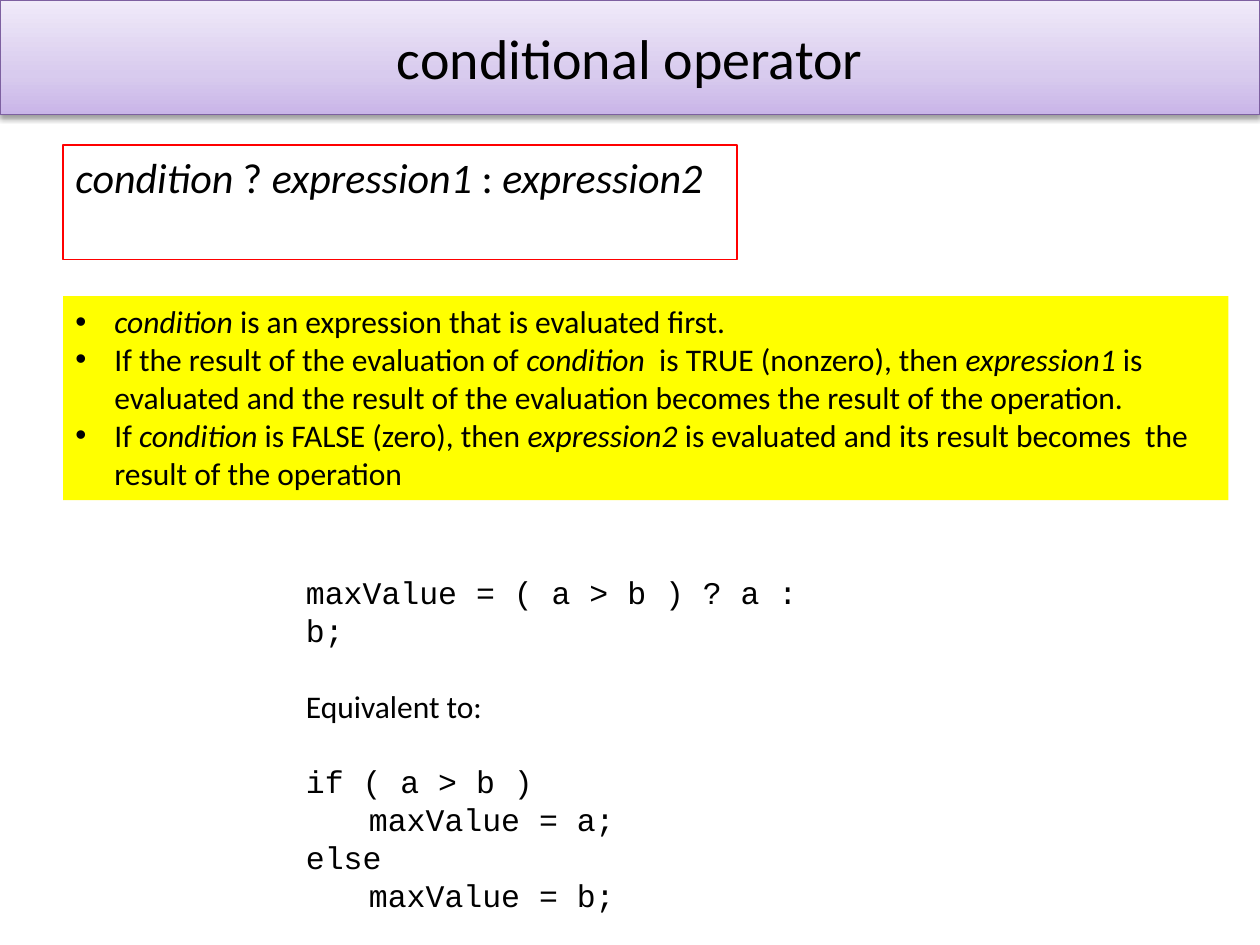
from lxml.etree import SubElement
from pptx import Presentation
from pptx.dml.color import RGBColor
from pptx.enum.shapes import MSO_SHAPE
from pptx.enum.text import MSO_ANCHOR, PP_ALIGN
from pptx.oxml.ns import qn
from pptx.util import Inches, Pt

WIDTH, HEIGHT = 10, 7.5
MARGIN = 0.05 * WIDTH
BAND = 0.91  # height of the title bar and of the syntax box
LINE = 21.6  # line pitch of the code, in points
COLORS = {"text": "000000", "bar_line": "7D60A0", "frame": "FF0000", "note": "FFFF00"}
BAR_STOPS = {0: "C9B5E8", 35: "D8CBEE", 100: "F0EAF9"}

# Asterisks enclose the italic parts
SYNTAX = "*condition *? *expression1 *: *expression2*"
RULES = [
    "*condition *is an expression that is evaluated first.",
    "If the result of the evaluation of *condition  *is TRUE (nonzero), then "
    "*expression1 *is evaluated and the result of the evaluation becomes the "
    "result of the operation.",
    "If *condition *is FALSE (zero), then *expression2 *is evaluated and its "
    "result becomes  the result of the operation",
]
# Text, font and whether a gap comes before the line
CODE = [
    ("maxValue = ( a > b ) ? a : b;", "Courier New", False),
    ("Equivalent to:", "Calibri", True),
    ("if ( a > b )", "Courier New", True),
    ("\tmaxValue = a;", "Courier New", False),
    ("else", "Courier New", False),
    ("\tmaxValue = b;", "Courier New", False),
]


def color(name):
    return RGBColor.from_string(COLORS[name])


def add_rectangle(page, left, top, width, height, fill=None, line=None):
    box = page.shapes.add_shape(
        MSO_SHAPE.RECTANGLE, Inches(left), Inches(top), Inches(width), Inches(height))
    box.shadow.inherit = False
    if fill:
        box.fill.solid()
        box.fill.fore_color.rgb = color(fill)
    else:
        box.fill.background()
    if line:
        box.line.color.rgb = color(line)
        box.line.width = Pt(0.75)
    else:
        box.line.fill.background()
    box.text_frame.word_wrap = True
    box.text_frame.vertical_anchor = MSO_ANCHOR.TOP
    return box


def format_span(span, size, font="Calibri", italic=False):
    span.font.size = Pt(size)
    span.font.name = font
    span.font.italic = italic
    span.font.color.rgb = color("text")


def write_marked(para, marked, size):
    """Write text whose parts between asterisks are italic."""
    for index, part in enumerate(marked.split("*")):
        if part:
            span = para.add_run()
            span.text = part
            format_span(span, size, italic=index % 2 == 1)


def add_bullet(para, indent):
    properties = para._p.get_or_add_pPr()
    properties.set("marL", str(Inches(indent)))
    properties.set("indent", str(-Inches(indent)))
    SubElement(properties, qn("a:buFont"), typeface="Arial")
    SubElement(properties, qn("a:buChar"), char="•")


def add_color(parent, value):
    return SubElement(parent, qn("a:srgbClr"), val=value)


def shade_bar(bar):
    """Give the bar its three-stop gradient and a soft shadow below."""
    bar.fill.gradient()
    bar.fill.gradient_angle = 90
    stops = bar._element.spPr.find(".//" + qn("a:gsLst"))
    for stop in list(stops):
        stops.remove(stop)
    for position, value in BAR_STOPS.items():
        add_color(SubElement(stops, qn("a:gs"), pos=str(position * 1000)), value)
    effects = bar._element.spPr.find(qn("a:effectLst"))
    shadow = SubElement(effects, qn("a:outerShdw"), blurRad=str(Pt(3.1)),
                        dist=str(Pt(1.6)), dir="5400000", rotWithShape="0")
    SubElement(add_color(shadow, COLORS["text"]), qn("a:alpha"), val="38000")


def add_title(page, title):
    bar = add_rectangle(page, 0, 0, WIDTH, BAND, line="bar_line")
    shade_bar(bar)
    bar.text_frame.vertical_anchor = MSO_ANCHOR.MIDDLE
    para = bar.text_frame.paragraphs[0]
    para.text = title
    para.alignment = PP_ALIGN.CENTER
    format_span(para.runs[0], 32)


def add_syntax(page):
    box = add_rectangle(page, MARGIN, 1.15, 5.35, BAND, line="frame")
    para = box.text_frame.paragraphs[0]
    para.alignment = PP_ALIGN.LEFT
    write_marked(para, SYNTAX, 24)


def add_rules(page):
    frame = add_rectangle(page, MARGIN, 2.35, 9.25, 1.62, fill="note").text_frame
    for index, rule in enumerate(RULES):
        para = frame.add_paragraph() if index else frame.paragraphs[0]
        add_bullet(para, 0.31)
        para.alignment = PP_ALIGN.LEFT if index else PP_ALIGN.JUSTIFY
        write_marked(para, rule, 18)


def add_code(page):
    box = page.shapes.add_textbox(
        Inches(2.33), Inches(0.6 * HEIGHT), Inches(4.53), Inches(2.8))
    frame = box.text_frame
    frame.word_wrap = True
    frame.text = "\n".join(text for text, _, _ in CODE)
    for para, (_, font, gap) in zip(frame.paragraphs, CODE):
        para.line_spacing = Pt(LINE)
        if gap:
            para.space_before = Pt(LINE)
        format_span(para.runs[0], 18, font)


def main():
    deck = Presentation()
    deck.slide_width, deck.slide_height = Inches(WIDTH), Inches(HEIGHT)
    page = deck.slides.add_slide(deck.slide_layouts[6])
    add_title(page, "conditional operator")
    add_code(page)
    add_syntax(page)
    add_rules(page)
    deck.save("out.pptx")


if __name__ == "__main__":
    main()
